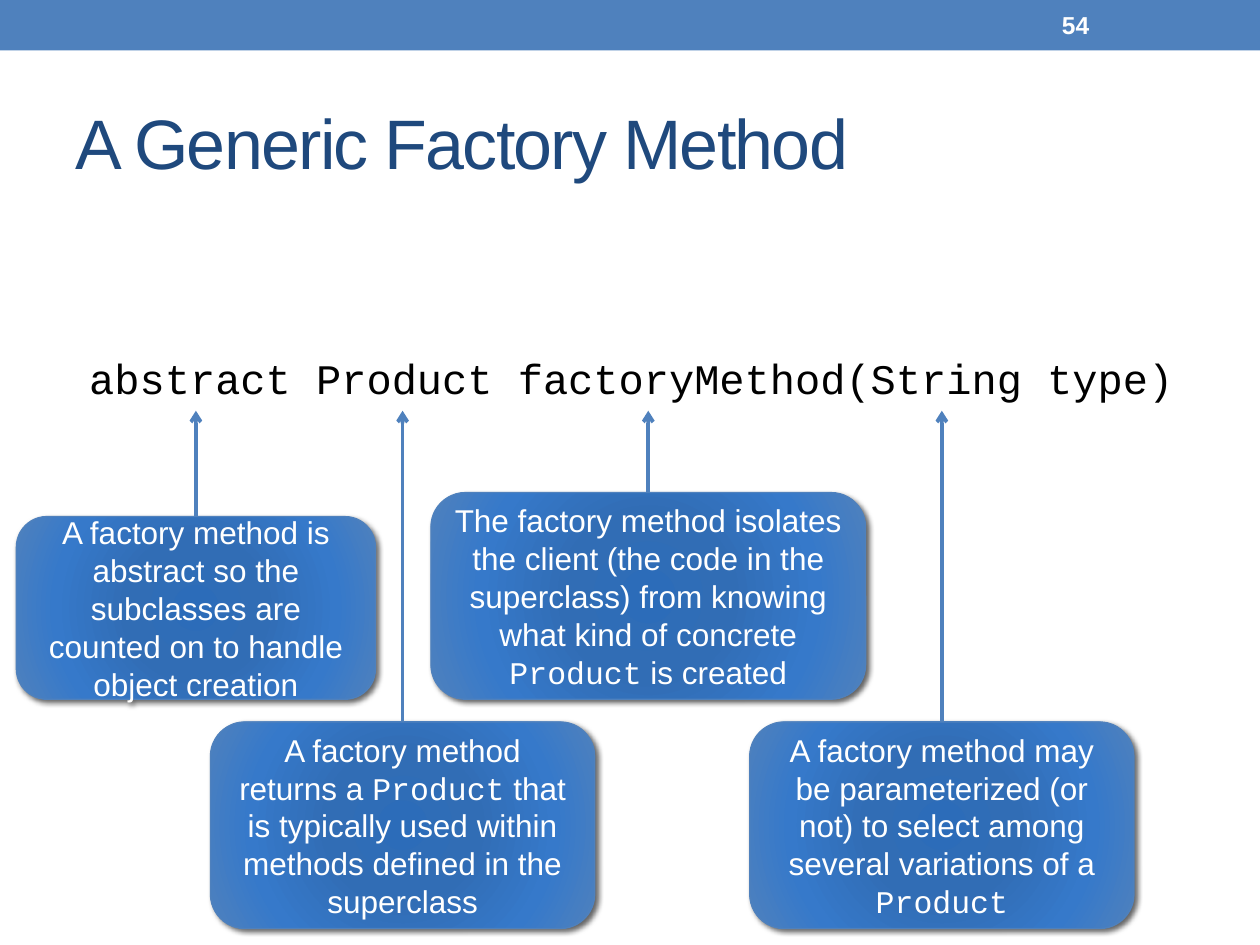
from lxml.etree import SubElement
from pptx import Presentation
from pptx.dml.color import RGBColor
from pptx.enum.shapes import MSO_CONNECTOR, MSO_SHAPE
from pptx.enum.text import MSO_ANCHOR, PP_ALIGN
from pptx.oxml.ns import qn
from pptx.util import Inches, Pt

COLORS = {"accent": "4F81BD", "title": "1F497D", "white": "FFFFFF", "code": "000000"}
GRADIENT = [(0, "2C6CB9"), (34, "316DB5"), (70, "3679CA"), (100, "4F81BD")]
SANS, MONO = "Arial", "Courier New"

TITLE = "A Generic Factory Method"
NUMBER = "54"
SIGNATURE = "abstract Product factoryMethod(String type)"
PRODUCT = ("Product", MONO)
UPPER_BOTTOM, LOWER_BOTTOM, ARROW_TIP = 5.55, 7.37, 3.26
CALLOUTS = [
    (0.13, UPPER_BOTTOM, 2.85, 1.45, [
        ("A factory method is abstract so the subclasses are counted on to handle object creation", SANS)]),
    (1.67, LOWER_BOTTOM, 3.05, 1.64, [
        ("A factory method returns a ", SANS), PRODUCT,
        (" that is typically used within methods defined in the superclass", SANS)]),
    (3.42, UPPER_BOTTOM, 3.45, 1.64, [
        ("The factory method isolates the client (the code in the superclass) "
         "from knowing what kind of concrete ", SANS), PRODUCT, (" is created", SANS)]),
    (5.95, LOWER_BOTTOM, 3.05, 1.64, [
        ("A factory method may be parameterized (or not) to select among "
         "several variations of a ", SANS), PRODUCT]),
]


def rgb(name):
    return RGBColor.from_string(COLORS[name])


def child(parent, tag, **attrs):
    return SubElement(parent, qn(tag), {k: str(v) for k, v in attrs.items()})


def write(sp, runs, size, color, align=PP_ALIGN.LEFT, anchor=MSO_ANCHOR.MIDDLE, wrap=True, bold=False):
    tf = sp.text_frame
    tf.word_wrap, tf.vertical_anchor = wrap, anchor
    p = tf.paragraphs[0]
    p.alignment = align
    for text, font in runs:
        r = p.add_run()
        r.text = text
        for key, value in {"name": font, "size": Pt(size), "bold": bold}.items():
            setattr(r.font, key, value)
        r.font.color.rgb = rgb(color)
    return p


def style_callout(sp):
    sp.fill.background()
    old = sp._element.spPr.find(qn("a:noFill"))
    grad = child(sp._element.spPr, "a:gradFill", rotWithShape=1)
    old.getparent().replace(old, grad)
    stops = child(grad, "a:gsLst")
    for pos, color in GRADIENT:
        child(child(stops, "a:gs", pos=pos * 1000), "a:srgbClr", val=color)
    child(child(grad, "a:path", path="circle"), "a:fillToRect", l=50000, t=50000, r=50000, b=50000)
    sp.line.color.rgb, sp.line.width = rgb("accent"), Pt(0.75)
    sp.shadow.inherit = False
    effects = sp._element.spPr.find(qn("a:effectLst"))
    shadow = child(effects, "a:outerShdw", blurRad=Pt(3), dist=Pt(2), dir=45 * 60000, rotWithShape=0)
    child(child(shadow, "a:srgbClr", val="000000"), "a:alpha", val=60000)


def add_callout(s, left, bottom, width, height, runs):
    group = s.shapes.add_group_shape()
    top, middle = bottom - height, left + width / 2
    sp = group.shapes.add_shape(MSO_SHAPE.ROUNDED_RECTANGLE, *map(Inches, (left, top, width, height)))
    style_callout(sp)
    write(sp, runs, 18, "white", PP_ALIGN.CENTER)
    arrow = group.shapes.add_connector(
        MSO_CONNECTOR.STRAIGHT, *map(Inches, (middle, top, middle, ARROW_TIP)))
    arrow.begin_connect(sp, 0)
    arrow.line.color.rgb, arrow.line.width = rgb("accent"), Pt(2.08)
    child(arrow.line._get_or_add_ln(), "a:tailEnd", type="arrow")
    child(arrow._element.spPr, "a:effectLst")


def main():
    prs = Presentation()
    prs.slide_width, prs.slide_height = Inches(10), Inches(7.5)
    s = prs.slides.add_slide(prs.slide_layouts[5])

    bar = s.shapes.add_shape(MSO_SHAPE.RECTANGLE, 0, 0, prs.slide_width, Inches(0.4))
    bar.shadow.inherit = False
    bar.fill.solid()
    bar.fill.fore_color.rgb = rgb("accent")
    bar.line.fill.background()

    title = s.shapes.title
    for key, value in {"left": 0.5, "top": 0.58, "width": 9, "height": 1.08}.items():
        setattr(title, key, Inches(value))
    p = write(title, [(TITLE, SANS)], 40, "title")
    p.runs[0].font._element.set("spc", "-100")

    number = s.shapes.add_textbox(*map(Inches, (8.33, 0.02, 1.17, 0.36)))
    write(number, [(NUMBER, SANS)], 14, "white", bold=True)
    signature = s.shapes.add_textbox(*map(Inches, (0.61, 2.75, 8.89, 0.5)))
    write(signature, [(SIGNATURE, MONO)], 24, "code", anchor=MSO_ANCHOR.TOP, wrap=False)

    for callout in CALLOUTS:
        add_callout(s, *callout)
    prs.save("out.pptx")


if __name__ == "__main__":
    main()
